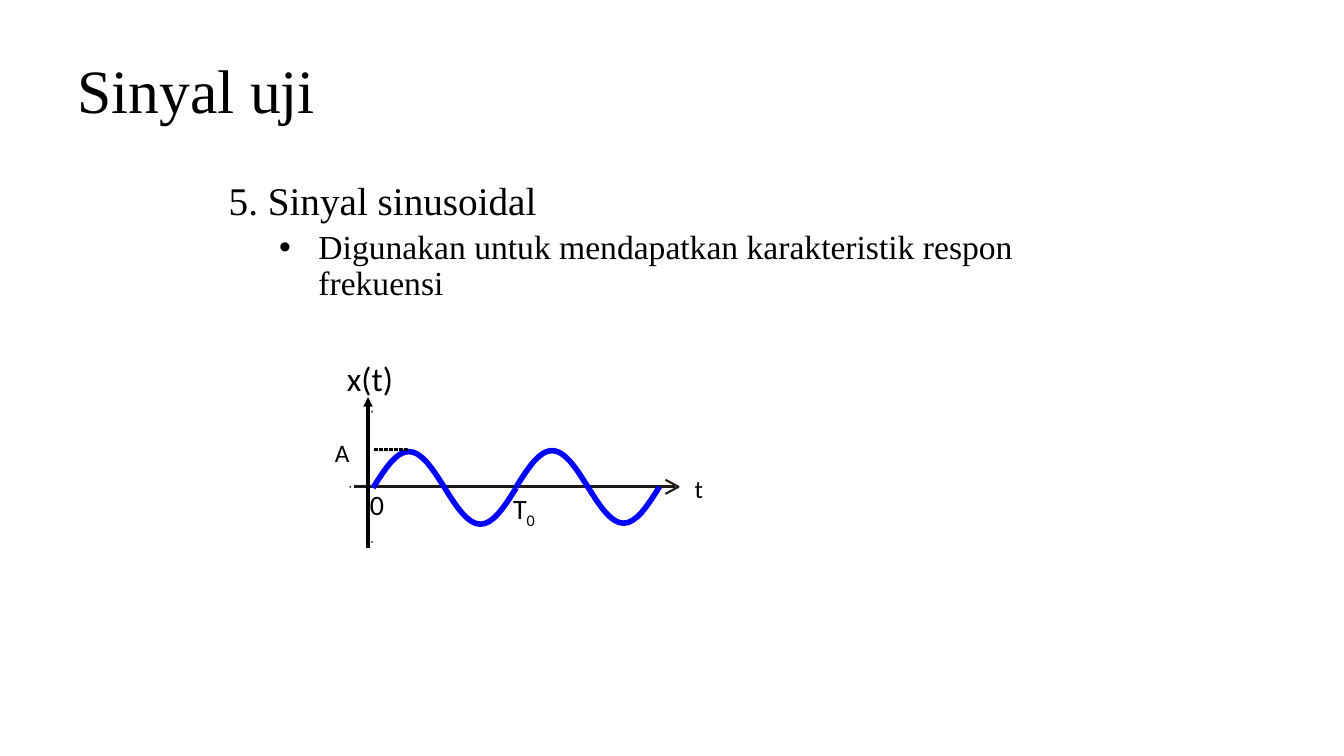
from dataclasses import dataclass
from math import pi, sin

from lxml import etree
from pptx import Presentation
from pptx.dml.color import RGBColor
from pptx.enum.dml import MSO_LINE
from pptx.enum.shapes import MSO_CONNECTOR
from pptx.enum.text import MSO_ANCHOR
from pptx.oxml.ns import qn
from pptx.util import Inches, Pt

STRAIGHT = MSO_CONNECTOR.STRAIGHT
DOTTED = MSO_LINE.ROUND_DOT
MIDDLE, TOP = MSO_ANCHOR.MIDDLE, MSO_ANCHOR.TOP


@dataclass(frozen=True)
class Theme:
    ink: RGBColor = RGBColor(0, 0, 0)
    axis: RGBColor = RGBColor(0x1F, 0x1A, 0x17)
    wave: RGBColor = RGBColor(0, 0, 0xFF)
    serif: str = "Times New Roman"
    sans: str = "Calibri"
    title: int = 44
    heading: int = 28
    detail: int = 24
    axis_name: int = 24
    mark: int = 20
    small: int = 18


THEME = Theme()

TITLE = "Sinyal uji"
HEADING = "5. Sinyal sinusoidal"
DETAIL = "Digunakan untuk mendapatkan karakteristik respon frekuensi"

# text, left, top, width, height, size
LABELS = [
    ("0", 3.67, 4.84, 0.14, 0.34, THEME.mark),
    ("x(t)", 3.44, 3.55, 0.46, 0.4, THEME.axis_name),
    ("t", 6.89, 4.7, 0.08, 0.3, THEME.small),
    ("A", 3.32, 4.34, 0.15, 0.3, THEME.small),
]

ZERO_Y = 4.83
AXIS_X = 3.65
AXIS_TIP = 6.73
AMPLITUDE = 0.36
PERIOD = 1.42
PERIOD_STARTS = [(3.7, 4.84), (5.12, ZERO_Y)]
STEPS = 32
DASHES, DASH_PITCH, DASH_WIDTH, DASH_HEIGHT = 7, 0.05, 0.03, 0.02
# tip of each axis-end tick and the direction it points in
TICKS = [((3.69, 5.39), (0, 1)), ((3.69, 4.07), (0, -1)), ((3.46, ZERO_Y), (-1, 0))]
TICK = 0.02


def text_box(page, left, top, width, height, anchor=TOP, wrap=True, inset=True):
    box = page.shapes.add_textbox(*map(Inches, (left, top, width, height)))
    frame = box.text_frame
    frame.word_wrap = wrap
    frame.vertical_anchor = anchor
    if not inset:
        frame.margin_left = frame.margin_right = 0
        frame.margin_top = frame.margin_bottom = 0
    return frame


def add_span(para, text, size, family):
    span = para.add_run()
    span.text = text
    span.font.size = Pt(size)
    span.font.name = family
    span.font.color.rgb = THEME.ink
    return span


def indent(para, left, first):
    properties = para._p.get_or_add_pPr()
    properties.set("marL", str(Inches(left)))
    properties.set("indent", str(Inches(first)))
    return properties


def outline(page, contours, closed):
    """Build one freeform from lists of points in inches."""
    contours = [[(Inches(x), Inches(y)) for x, y in points] for points in contours]
    builder = page.shapes.build_freeform(*contours[0][0])
    for number, points in enumerate(contours):
        if number:
            builder.move_to(*points[0])
        builder.add_line_segments(points[1:], close=closed)
    shape = builder.convert_to_shape()
    shape.shadow.inherit = False
    return shape


def stroke(page, points, color, width):
    shape = outline(page, [points], closed=False)
    shape.fill.background()
    shape.line.color.rgb = color
    shape.line.width = Pt(width)


def solid(page, contours, color):
    shape = outline(page, contours, closed=True)
    shape.fill.solid()
    shape.fill.fore_color.rgb = color
    shape.line.fill.background()
    return shape


def axis_line(page, start, end, color, width):
    line = page.shapes.add_connector(STRAIGHT, *map(Inches, start + end))
    line.line.color.rgb = color
    line.line.width = Pt(width)
    etree.SubElement(line._element.spPr, qn("a:effectLst"))
    return line


def add_texts(page):
    title = text_box(page, 0.67, 0.3, 12, 1.25, MIDDLE).paragraphs[0]
    title.line_spacing = 0.9
    add_span(title, TITLE, THEME.title, THEME.serif)

    body = text_box(page, 2.17, 1.75, 9, 1.5)
    heading = body.paragraphs[0]
    indent(heading, 0.58, -0.58)
    heading.line_spacing = 0.9
    add_span(heading, HEADING, THEME.heading, THEME.serif)

    detail = body.add_paragraph()
    properties = indent(detail, 0.89, -0.39)
    etree.SubElement(properties, qn("a:buFont")).set("typeface", "Arial")
    etree.SubElement(properties, qn("a:buChar")).set("char", "•")
    detail.line_spacing = 0.9
    detail.space_before = Pt(5)
    add_span(detail, DETAIL, THEME.detail, THEME.serif)


def add_graph(page):
    for (x, y), (dx, dy) in TICKS:
        base_x, base_y = x - TICK * dx, y - TICK * dy
        half = TICK / 2
        triangle = [(x, y), (base_x + half * dy, base_y + half * dx),
                    (base_x - half * dy, base_y - half * dx)]
        solid(page, [triangle], THEME.axis)

    axis_line(page, (3.51, ZERO_Y), (6.69, ZERO_Y), THEME.axis, 2)
    arrow = [(AXIS_TIP - back, ZERO_Y + rise)
             for back, rise in ((0.13, -0.07), (0, 0), (0.13, 0.07))]
    stroke(page, arrow, THEME.axis, 1.5)

    for left, middle in PERIOD_STARTS:
        wave = [(left + PERIOD * step / STEPS,
                 middle - AMPLITUDE * sin(2 * pi * step / STEPS))
                for step in range(STEPS + 1)]
        stroke(page, wave, THEME.wave, 4)

    dashes = []
    for number in range(DASHES):
        left, top = 3.71 + number * DASH_PITCH, 4.45
        right, bottom = left + DASH_WIDTH, top + DASH_HEIGHT
        dashes.append([(left, top), (right, top), (right, bottom), (left, bottom)])
    level = solid(page, dashes, THEME.ink)
    level.line.color.rgb = THEME.ink
    level.line.width = Pt(0.25)
    level.line.dash_style = DOTTED

    vertical = axis_line(page, (AXIS_X, 5.44), (AXIS_X, 3.94), THEME.ink, 2.25)
    etree.SubElement(vertical.line._get_or_add_ln(), qn("a:tailEnd")).set("type", "triangle")

    for text, left, top, width, height, size in LABELS:
        frame = text_box(page, left, top, width, height, wrap=False, inset=False)
        add_span(frame.paragraphs[0], text, size, THEME.sans)

    period = text_box(page, 4.99, ZERO_Y, 0.5, 0.43).paragraphs[0]
    add_span(period, "T", THEME.mark, THEME.sans)
    subscript = add_span(period, "0", THEME.mark, THEME.sans)
    subscript.font._element.set("baseline", "-25000")


def main():
    deck = Presentation()
    deck.slide_width, deck.slide_height = Inches(13.33), Inches(7.5)
    page = deck.slides.add_slide(deck.slide_layouts[6])
    add_texts(page)
    add_graph(page)
    deck.save("out.pptx")


if __name__ == "__main__":
    main()
